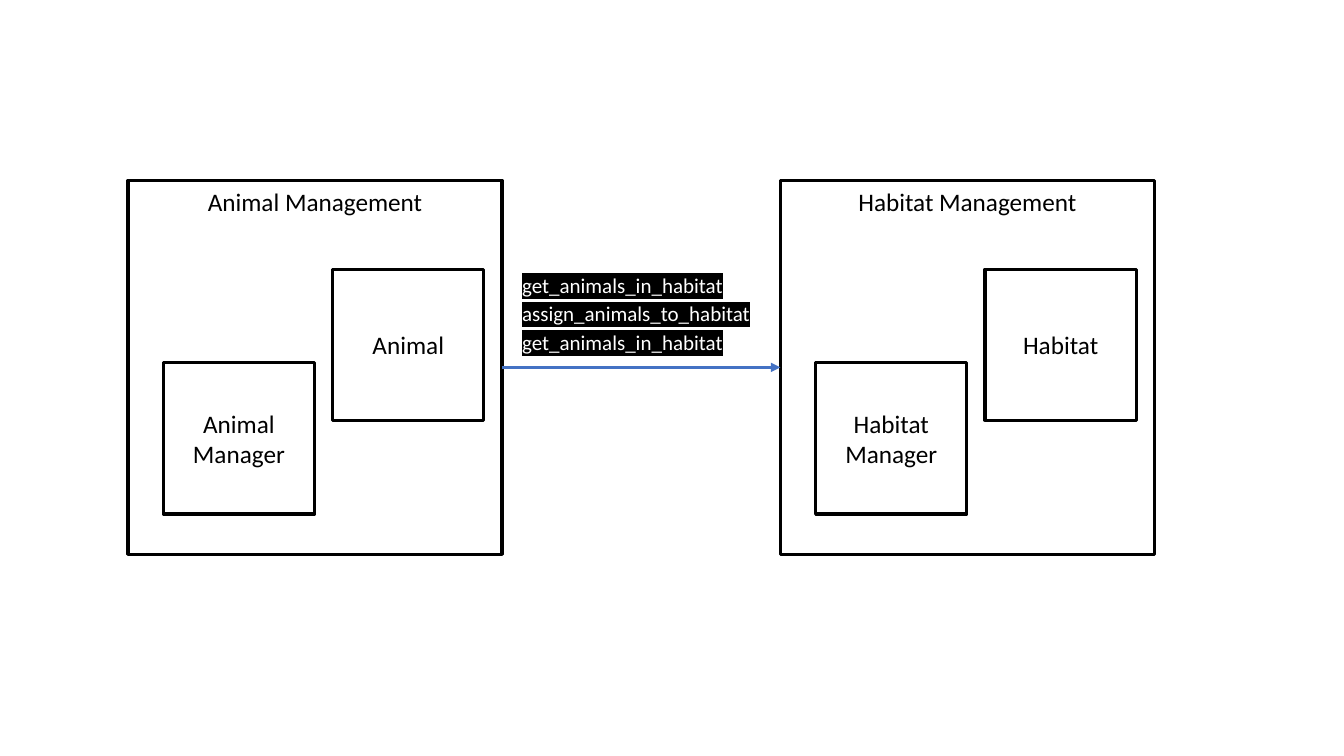
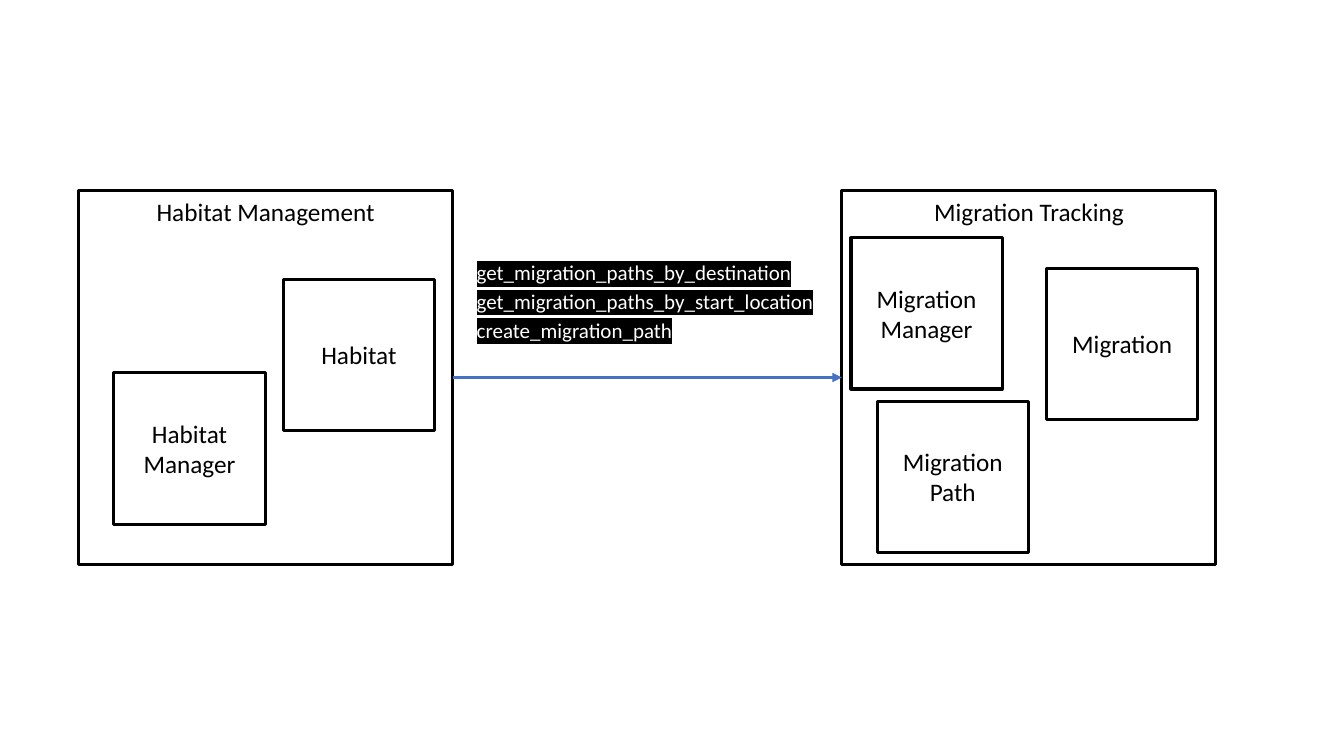
"""Build two slides of modules and the calls between them."""
from lxml.etree import SubElement
from pptx import Presentation
from pptx.dml.color import RGBColor
from pptx.enum.shapes import MSO_CONNECTOR, MSO_SHAPE
from pptx.enum.text import MSO_ANCHOR, PP_ALIGN
from pptx.oxml.ns import qn
from pptx.util import Inches, Pt

BLACK, WHITE, BLUE = "000000", "FFFFFF", "4472C4"
FONT = "Calibri"
OUTER, INNER = 3.71, 1.5
EDGE = Pt(2.25)


def color(code):
    return RGBColor.from_string(code)


def add_box(slide, text, left, top, size, anchor=MSO_ANCHOR.MIDDLE):
    box = slide.shapes.add_shape(
        MSO_SHAPE.RECTANGLE, Inches(left), Inches(top), Inches(size), Inches(size))
    box.shadow.inherit = False
    box.fill.background()
    box.line.color.rgb = color(BLACK)
    box.line.width = EDGE
    frame = box.text_frame
    frame.text = text
    frame.word_wrap = True
    frame.vertical_anchor = anchor
    frame.margin_top = frame.margin_bottom = Inches(0.06)
    para = frame.paragraphs[0]
    para.alignment = PP_ALIGN.CENTER
    font = para.runs[0].font
    font.name, font.size = FONT, Pt(18)
    font.color.rgb = color(BLACK)
    return box


animal = ("Animal Management",
          [("Animal", 2.03, 0.88), ("Animal Manager", 0.35, 1.81)])
habitat = ("Habitat Management",
           [("Habitat", 2.03, 0.88), ("Habitat Manager", 0.35, 1.81)])
tracking = ("Migration Tracking",
            [("Migration", 2.03, 0.77), ("Migration Manager", 0.09, 0.47),
             ("Migration Path", 0.35, 2.09)])

pages = [
    (1.79, [(animal, 1.27), (habitat, 7.74)], (5.08, 2.65),
     ["get_animals_in_habitat", "assign_animals_to_habitat",
      "get_animals_in_habitat"]),
    (1.89, [(habitat, 0.78), (tracking, 8.35)], (4.63, 2.53),
     ["get_migration_paths_by_destination",
      "get_migration_paths_by_start_location", "create_migration_path"]),
]

deck = Presentation()
deck.slide_width, deck.slide_height = Inches(13.33), Inches(7.5)

for top, modules, (x, y), calls in pages:
    slide = deck.slides.add_slide(deck.slide_layouts[6])

    ends = []
    for (title, parts), left in modules:
        ends.append(add_box(slide, title, left, top, OUTER, MSO_ANCHOR.TOP))
        for label, right, down in parts:
            add_box(slide, label, left + right, top + down, INNER)

    arrow = slide.shapes.add_connector(MSO_CONNECTOR.STRAIGHT, 0, 0, 0, 0)
    arrow.begin_connect(ends[0], 3)
    arrow.end_connect(ends[1], 1)
    arrow.line.color.rgb = color(BLUE)
    arrow.line.width = EDGE
    SubElement(arrow.line._get_or_add_ln(), qn("a:tailEnd"), type="triangle")
    SubElement(arrow._element.spPr, qn("a:effectLst"))

    note = slide.shapes.add_textbox(Inches(x), Inches(y), Inches(4.74), Inches(0.95))
    frame = note.text_frame
    frame.word_wrap = True
    frame.text = "\n".join(calls)
    for para in frame.paragraphs:
        para.space_after = Pt(2.4)
        run = para.runs[0]
        run.font.name, run.font.size = FONT, Pt(15)
        run.font.color.rgb = color(WHITE)
        props = run.font._element if hasattr(run.font, "_element") else run._r.rPr
        mark = SubElement(props, qn("a:highlight"))
        SubElement(mark, qn("a:srgbClr"), val=BLACK)
        props.find(qn("a:solidFill")).addnext(mark)

deck.save("out.pptx")
